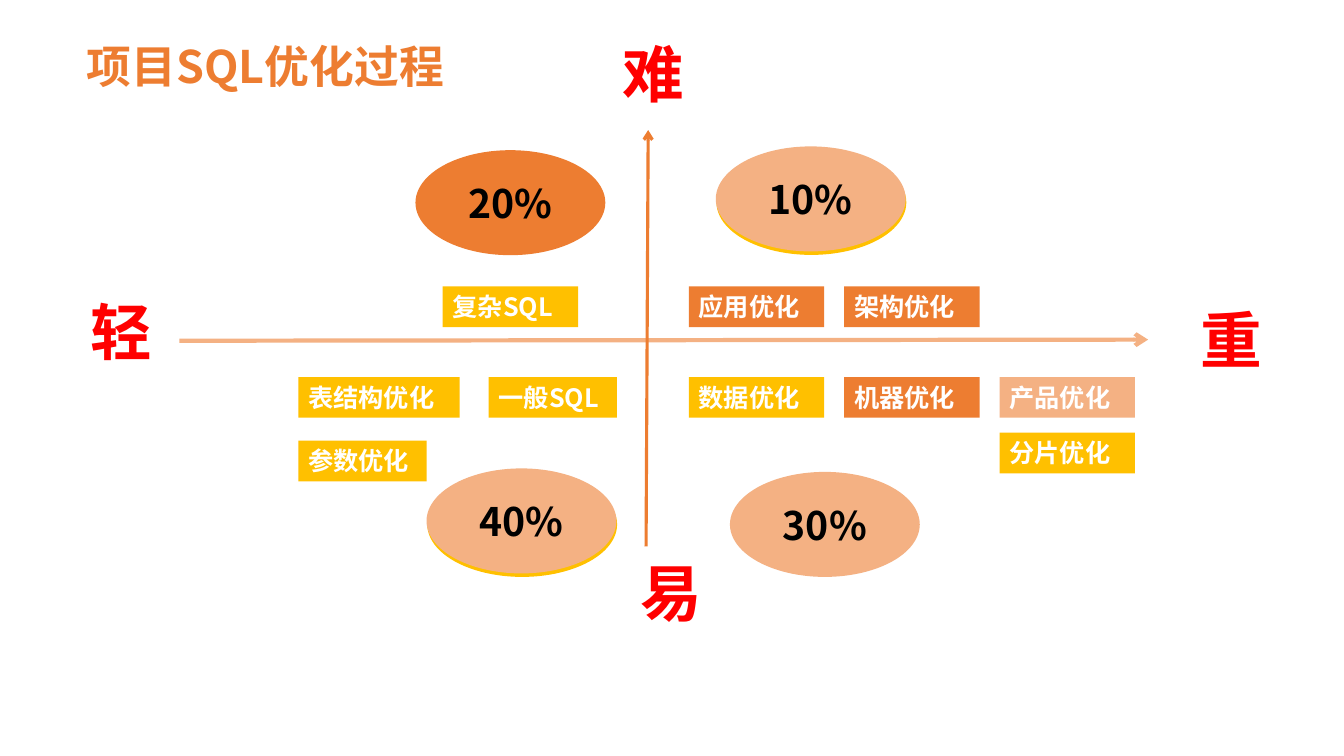
from lxml.etree import SubElement
from pptx import Presentation
from pptx.dml.color import RGBColor
from pptx.enum.shapes import MSO_CONNECTOR as Connector, MSO_SHAPE as Shape
from pptx.enum.text import MSO_ANCHOR as Anchor, PP_ALIGN as Align
from pptx.oxml.ns import qn
from pptx.util import Pt

ORANGE = RGBColor(0xED, 0x7D, 0x31)
PEACH = RGBColor(0xF4, 0xB1, 0x83)
GOLD = RGBColor(0xFF, 0xC0, 0x00)
RED = RGBColor(0xFF, 0x00, 0x00)
WHITE = RGBColor(0xFF, 0xFF, 0xFF)
BLACK = RGBColor(0x00, 0x00, 0x00)


class QuadrantSlide:
    font = "Noto Sans CJK SC"
    chip_height = 29.1
    share_size = (135.6, 75)

    def __init__(self, slide):
        self.shapes = slide.shapes

    def fill_text(self, shape, text, size, color, align=Align.LEFT, anchor=Anchor.TOP, spacing=1.0):
        frame = shape.text_frame
        for name, value in {"word_wrap": True, "vertical_anchor": anchor}.items():
            setattr(frame, name, value)
        paragraph = frame.paragraphs[0]
        for name, value in {"alignment": align, "line_spacing": spacing}.items():
            setattr(paragraph, name, value)
        run = paragraph.add_run()
        run.text = text
        for name, value in {"name": self.font, "size": Pt(size), "bold": True}.items():
            setattr(run.font, name, value)
        run.font.color.rgb = color
        SubElement(run._r.rPr, qn("a:ea"), typeface=self.font)

    def label(self, text, box, size, color, **layout):
        self.fill_text(self.shapes.add_textbox(*map(Pt, box)), text, size, color, **layout)

    def block(self, kind, box, fill):
        shape = self.shapes.add_shape(kind, *map(Pt, box))
        shape.shadow.inherit = False
        shape.fill.solid()
        shape.fill.fore_color.rgb = fill
        shape.line.fill.background()
        return shape

    def chip(self, text, left, top, width, fill):
        chip = self.block(Shape.RECTANGLE, (left, top, width, self.chip_height), fill)
        self.fill_text(chip, text, 18, WHITE)

    def share(self, text, left, top, fill, rim=None):
        if rim:
            self.block(Shape.OVAL, (left + 0.5, top + 2.5, *self.share_size), rim)
        oval = self.block(Shape.OVAL, (left, top, *self.share_size), fill)
        self.fill_text(oval, text, 28, BLACK, align=Align.CENTER, anchor=Anchor.MIDDLE)

    def axis(self, start, end, color, width):
        arrow = self.shapes.add_connector(Connector.STRAIGHT, *map(Pt, start + end))
        arrow.line.color.rgb = color
        arrow.line.width = Pt(width)
        properties = arrow._element.spPr
        SubElement(properties.find(qn("a:ln")), qn("a:tailEnd"), type="arrow")
        SubElement(properties, qn("a:effectLst"))


def main():
    deck = Presentation()
    for name, value in {"slide_width": Pt(960), "slide_height": Pt(540)}.items():
        setattr(deck, name, value)
    slide = QuadrantSlide(deck.slides.add_slide(deck.slide_layouts[6]))

    slide.label("项目SQL优化过程", (54.7, 28.8, 430, 64), 32, ORANGE, spacing=0.9)
    slide.axis((128.2, 243.4), (820.1, 242.6), PEACH, 3)
    slide.axis((461.5, 390.2), (463, 92.9), ORANGE, 2.25)

    for text, left, top, width in (
        ("轻", 37.4, 206.6, 98),
        ("重", 831.6, 212.4, 96),
        ("难", 432.7, 22.3, 68.4),
        ("易", 450.7, 393.1, 33.8),
    ):
        slide.label(text, (left, top, width, 60.6), 44, RED, align=Align.CENTER)

    upper, lower = 204.5, 269.3
    narrow, regular, wide = 91.6, 96.7, 115.2
    far_left = 213.2
    data_column, machine_column, product_column = (492 + 111 * step for step in range(3))
    for chip in (
        ("复杂SQL", 316.2, upper, regular, GOLD),
        ("应用优化", data_column, upper, regular, ORANGE),
        ("架构优化", machine_column, upper, regular, ORANGE),
        ("表结构优化", far_left, lower, wide, GOLD),
        ("一般SQL", 349.1, lower, narrow, GOLD),
        ("数据优化", data_column, lower, regular, GOLD),
        ("机器优化", machine_column, lower, regular, ORANGE),
        ("产品优化", product_column, lower, regular, PEACH),
        ("参数优化", far_left, 314.8, narrow, GOLD),
        ("分片优化", product_column, 309.1, regular, GOLD),
    ):
        slide.chip(*chip)

    for share in (
        ("20%", 296.8, 107.3, ORANGE),
        ("10%", 511.3, 104.6, PEACH, GOLD),
        ("40%", 304.7, 334.6, PEACH, GOLD),
        ("30%", 521.4, 337.1, PEACH),
    ):
        slide.share(*share)

    deck.save("out.pptx")


if __name__ == "__main__":
    main()
